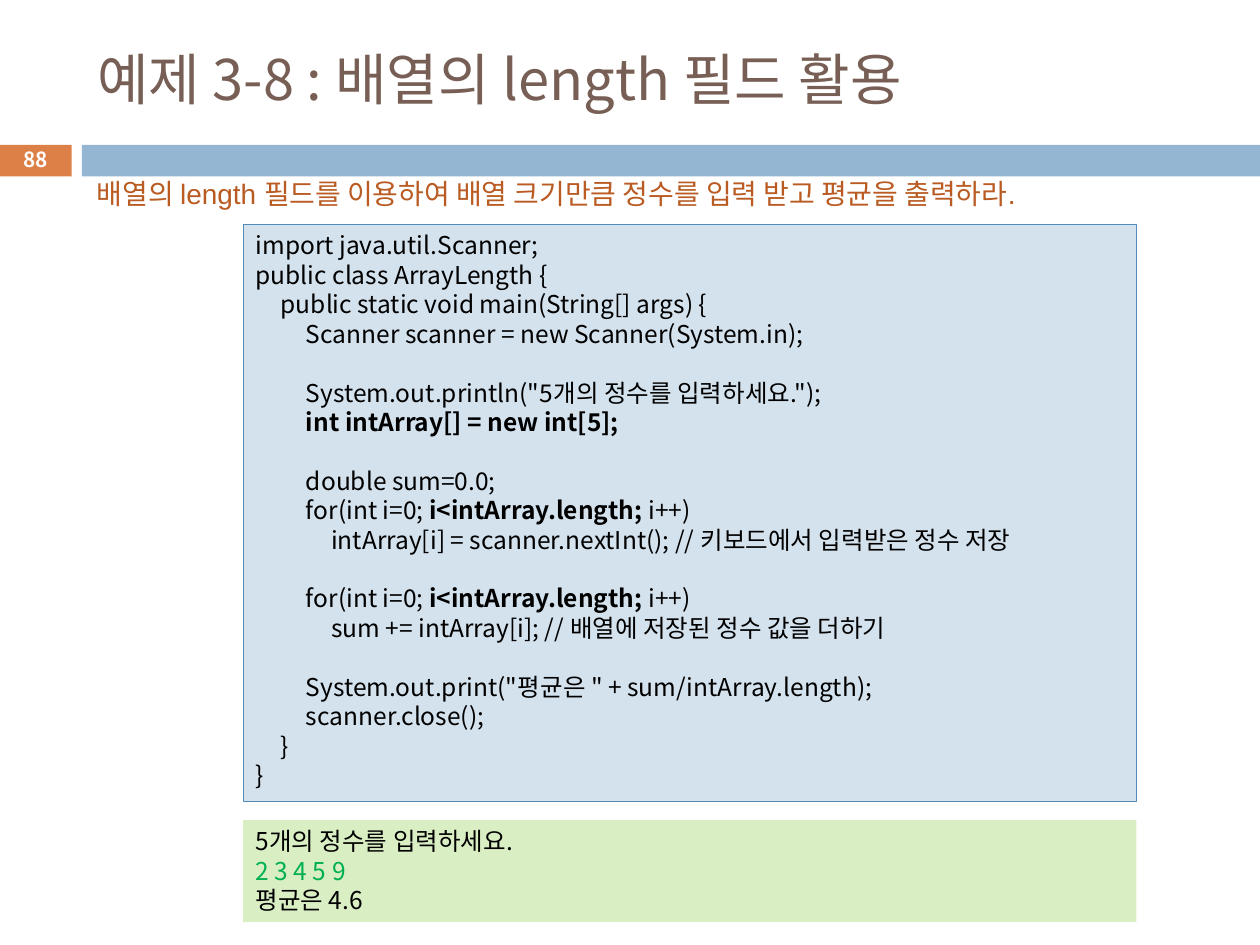
"""Builds a Java lesson slide on the length field of arrays."""
from lxml import etree
from pptx import Presentation
from pptx.dml.color import RGBColor
from pptx.enum.shapes import MSO_SHAPE
from pptx.enum.text import MSO_ANCHOR, PP_ALIGN
from pptx.oxml.ns import qn
from pptx.util import Inches, Pt

RECTANGLE = MSO_SHAPE.RECTANGLE
MIDDLE = MSO_ANCHOR.MIDDLE
LEFT, CENTER = PP_ALIGN.LEFT, PP_ALIGN.CENTER
KOREAN, LATIN = "Noto Sans CJK KR", "Arial"
BLACK, GREEN = "000000", "00B050"
CODE_SIZE, CODE_PITCH, TAB_WIDTH, TAB_COUNT = 14, 16.8, 0.2, 3

WIDTH, HEIGHT = 10, 7.5
TITLE = "예제 3-8 : 배열의 length 필드 활용"
TASK = "배열의 length 필드를 이용하여 배열 크기만큼 정수를 입력 받고 평균을 출력하라."
PAGE_NUMBER = "88"

LOOP = (2, "for(int i=0; ", "i<intArray.length; ", "i++)")
BLANK = (0,)
# Each line holds its depth, then plain and bold parts in turn.
CODE = [
    (0, "import java.util.Scanner;"),
    (0, "public class ArrayLength {"),
    (1, "public static void main(String[] args) {"),
    (2, "Scanner scanner = new Scanner(System.in);"),
    BLANK,
    (2, 'System.out.println("5개의 정수를 입력하세요.");'),
    (2, "", "int intArray[] = new int[5];"),
    BLANK,
    (2, "double sum=0.0;"),
    LOOP,
    (3, "intArray[i] = scanner.nextInt(); // 키보드에서 입력받은 정수 저장"),
    BLANK,
    LOOP,
    (3, "sum += intArray[i]; // 배열에 저장된 정수 값을 더하기"),
    BLANK,
    (2, 'System.out.print("평균은 " + sum/intArray.length);'),
    (2, "scanner.close();"),
    (1, "}"),
    (0, "}"),
]
OUTPUT = [("5개의 정수를 입력하세요.", BLACK), ("2 3 4 5 9", GREEN), ("평균은 4.6", BLACK)]

BAND_TOP, BAND_HEIGHT = 1.15, 0.25
NUMBER_WIDTH, BAND_LEFT = 0.57, 0.65
TEXT_LEFT = 0.67
PANEL_LEFT, PANEL_WIDTH = 1.93, 7.09


def color(value):
    return RGBColor.from_string(value)


def place(shape, left, top, width, height):
    shape.left, shape.top = Inches(left), Inches(top)
    shape.width, shape.height = Inches(width), Inches(height)


def add_panel(page, frame, fill, line=None):
    panel = page.shapes.add_shape(RECTANGLE, *map(Inches, frame))
    panel.shadow.inherit = False
    panel.fill.solid()
    panel.fill.fore_color.rgb = color(fill)
    if line:
        panel.line.color.rgb = color(line)
        panel.line.width = Pt(0.75)
    else:
        panel.line.fill.background()
    panel.text_frame.word_wrap = True
    panel.text_frame.vertical_anchor = MSO_ANCHOR.TOP
    return panel


def add_span(para, text, size, ink, bold=False, font=KOREAN):
    span = para.add_run()
    span.text = text
    span.font.name, span.font.size, span.font.bold = font, Pt(size), bold
    span.font.color.rgb = color(ink)
    east_asian = etree.Element(qn("a:ea"), typeface=KOREAN)
    span.font._element.find(qn("a:latin")).addnext(east_asian)


def add_code_lines(panel, lines):
    frame = panel.text_frame
    for index, (depth, spans) in enumerate(lines):
        para = frame.add_paragraph() if index else frame.paragraphs[0]
        para.alignment = LEFT
        para.line_spacing = Pt(CODE_PITCH)
        tabs = etree.SubElement(para._p.get_or_add_pPr(), qn("a:tabLst"))
        for stop in range(1, TAB_COUNT + 1):
            etree.SubElement(tabs, qn("a:tab"), pos=str(Inches(TAB_WIDTH * stop)), algn="l")
        for order, (text, ink, bold) in enumerate(spans):
            lead = "\t" * depth if order == 0 else ""
            if lead + text:
                add_span(para, lead + text, CODE_SIZE, ink, bold)


def build():
    deck = Presentation()
    deck.slide_width, deck.slide_height = Inches(WIDTH), Inches(HEIGHT)
    page = deck.slides.add_slide(deck.slide_layouts[5])

    add_panel(page, (0, BAND_TOP, NUMBER_WIDTH, BAND_HEIGHT), "DD8047")
    add_panel(page, (BAND_LEFT, BAND_TOP, WIDTH - BAND_LEFT, BAND_HEIGHT), "94B6D2")

    title = page.shapes.title
    place(title, TEXT_LEFT, 0.25, 8.92, 0.74)
    title.text_frame.vertical_anchor = MIDDLE
    title.text_frame.paragraphs[0].alignment = LEFT
    add_span(title.text_frame.paragraphs[0], TITLE, 32, "775F55")

    task = page.shapes.add_textbox(*map(Inches, (TEXT_LEFT, 1.35, 8.55, 0.37)))
    task.text_frame.word_wrap = False
    add_span(task.text_frame.paragraphs[0], TASK, 16, "B95B22", font=LATIN)

    code = add_panel(page, (PANEL_LEFT, 1.78, PANEL_WIDTH, 4.58), "D4E2ED", "558BB8")
    add_code_lines(code, [
        (depth, [(text, BLACK, order % 2 == 1) for order, text in enumerate(parts)])
        for depth, *parts in CODE
    ])
    result = add_panel(page, (PANEL_LEFT, 6.51, PANEL_WIDTH, 0.81), "DAEEC4")
    add_code_lines(result, [(0, [(text, ink, False)]) for text, ink in OUTPUT])

    number = page.shapes.add_textbox(*map(Inches, (0, 1.13, NUMBER_WIDTH, 0.27)))
    frame = number.text_frame
    frame.word_wrap = True
    frame.margin_top = frame.margin_bottom = 0
    frame.vertical_anchor = MIDDLE
    frame.paragraphs[0].alignment = CENTER
    add_span(frame.paragraphs[0], PAGE_NUMBER, 11.9, "FFFFFF", True)

    deck.save("out.pptx")


if __name__ == "__main__":
    build()
